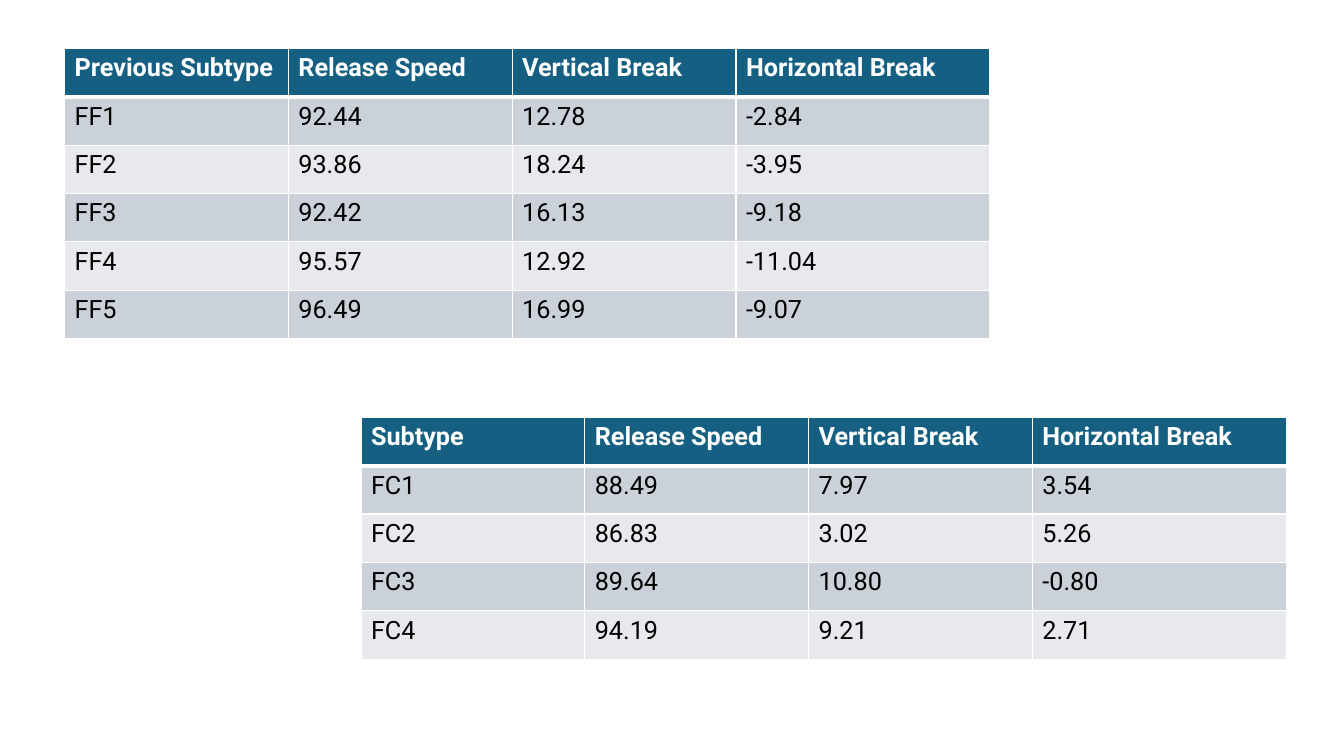
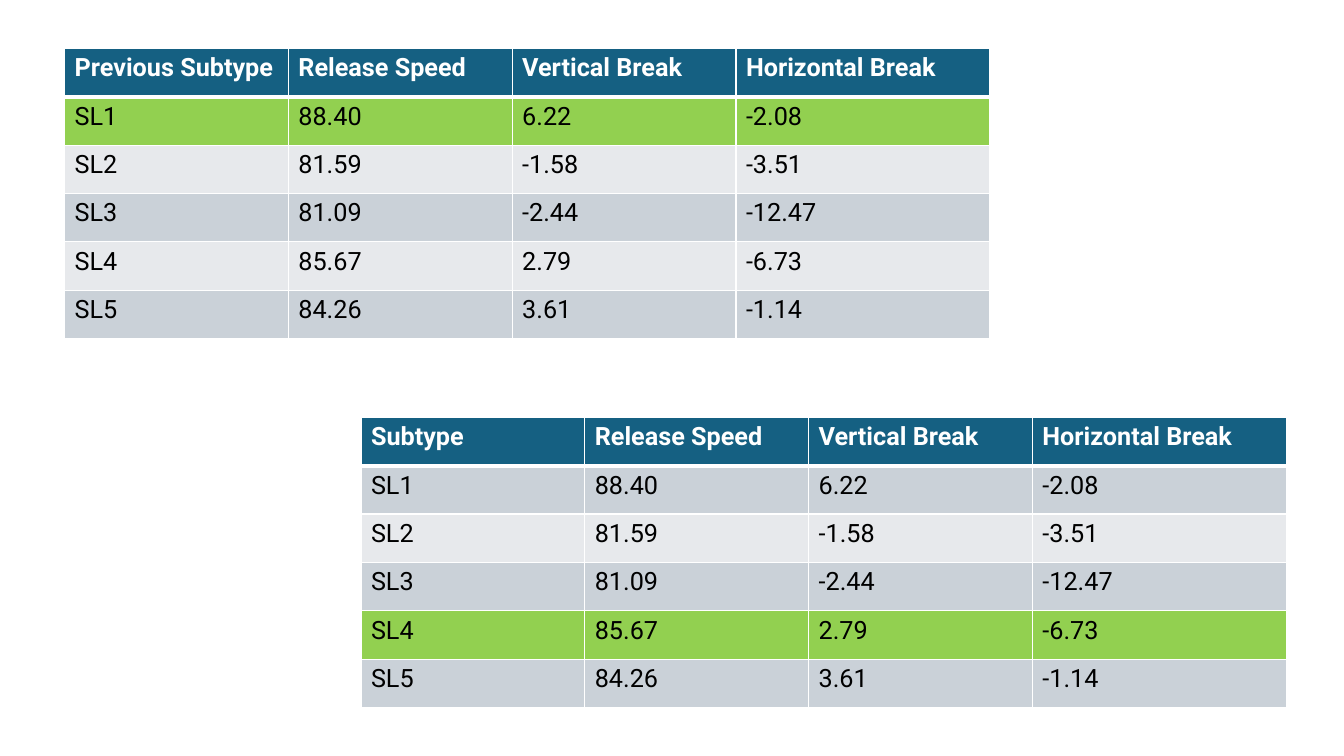
from lxml import etree
from pptx import Presentation
from pptx.dml.color import RGBColor
from pptx.oxml.ns import qn
from pptx.util import Inches, Pt

FONT = "Roboto"
FONT_SIZE = 18
WHITE = "FFFFFF"
BLACK = "000000"
HEADER_FILL = "156082"
BAND_FILLS = ("CAD1D8", "E7E9EC")
HIGHLIGHT_FILL = "92D050"
THIN_LINE, THICK_LINE = 1, 3
BLANK_LAYOUT = 6

COLUMN_WIDTHS = (2.22, 2.22, 2.22, 2.52)
ROW_HEIGHT = 0.48
PREVIOUS_POSITION = (0.64, 0.48)
CURRENT_POSITION = (3.58, 4.14)
MEASURES = ("Release Speed", "Vertical Break", "Horizontal Break")

FASTBALLS = (
    ("FF1", "92.44", "12.78", "-2.84"),
    ("FF2", "93.86", "18.24", "-3.95"),
    ("FF3", "92.42", "16.13", "-9.18"),
    ("FF4", "95.57", "12.92", "-11.04"),
    ("FF5", "96.49", "16.99", "-9.07"),
)
CUTTERS = (
    ("FC1", "88.49", "7.97", "3.54"),
    ("FC2", "86.83", "3.02", "5.26"),
    ("FC3", "89.64", "10.80", "-0.80"),
    ("FC4", "94.19", "9.21", "2.71"),
)
SLIDERS = (
    ("SL1", "88.40", "6.22", "-2.08"),
    ("SL2", "81.59", "-1.58", "-3.51"),
    ("SL3", "81.09", "-2.44", "-12.47"),
    ("SL4", "85.67", "2.79", "-6.73"),
    ("SL5", "84.26", "3.61", "-1.14"),
)


def color(value):
    return RGBColor.from_string(value)


def set_borders(cell, top, bottom):
    properties = cell._tc.get_or_add_tcPr()
    widths = {"L": THIN_LINE, "R": THIN_LINE, "T": top, "B": bottom}
    for side, width in widths.items():
        line = etree.SubElement(properties, qn(f"a:ln{side}"), w=str(Pt(width)))
        fill = etree.SubElement(line, qn("a:solidFill"))
        etree.SubElement(fill, qn("a:srgbClr"), val=WHITE)


def format_cell(cell, text, fill, text_color, bold):
    cell.fill.solid()
    cell.fill.fore_color.rgb = color(fill)
    cell.text_frame.text = text
    font = cell.text_frame.paragraphs[0].runs[0].font
    font.name = FONT
    font.size = Pt(FONT_SIZE)
    font.bold = bold
    font.color.rgb = color(text_color)


def row_fill(row_index, highlighted):
    if row_index == 0:
        return HEADER_FILL
    if row_index == highlighted:
        return HIGHLIGHT_FILL
    return BAND_FILLS[(row_index - 1) % 2]


def add_subtype_table(slide, position, heading, pitches, highlighted=None):
    rows = ((heading, *MEASURES), *pitches)
    left, top = position
    table = slide.shapes.add_table(
        len(rows), len(COLUMN_WIDTHS), Inches(left), Inches(top),
        Inches(sum(COLUMN_WIDTHS)), Inches(ROW_HEIGHT * len(rows)),
    ).table
    for column, width in zip(table.columns, COLUMN_WIDTHS):
        column.width = Inches(width)
    for row_index, values in enumerate(rows):
        table.rows[row_index].height = Inches(ROW_HEIGHT)
        is_header = row_index == 0
        fill = row_fill(row_index, highlighted)
        top_line = THICK_LINE if row_index == 1 else THIN_LINE
        bottom_line = THICK_LINE if is_header else THIN_LINE
        for column_index, text in enumerate(values):
            cell = table.cell(row_index, column_index)
            set_borders(cell, top_line, bottom_line)
            format_cell(cell, text, fill, WHITE if is_header else BLACK, is_header)


def add_comparison_slide(presentation, previous, current,
                         previous_highlight=None, current_highlight=None):
    slide = presentation.slides.add_slide(presentation.slide_layouts[BLANK_LAYOUT])
    add_subtype_table(slide, PREVIOUS_POSITION, "Previous Subtype", previous, previous_highlight)
    add_subtype_table(slide, CURRENT_POSITION, "Subtype", current, current_highlight)


def main():
    presentation = Presentation()
    presentation.slide_width = Inches(13.33)
    presentation.slide_height = Inches(7.5)
    add_comparison_slide(presentation, FASTBALLS, CUTTERS)
    add_comparison_slide(presentation, SLIDERS, SLIDERS,
                         previous_highlight=1, current_highlight=4)
    presentation.save("out.pptx")


if __name__ == "__main__":
    main()
